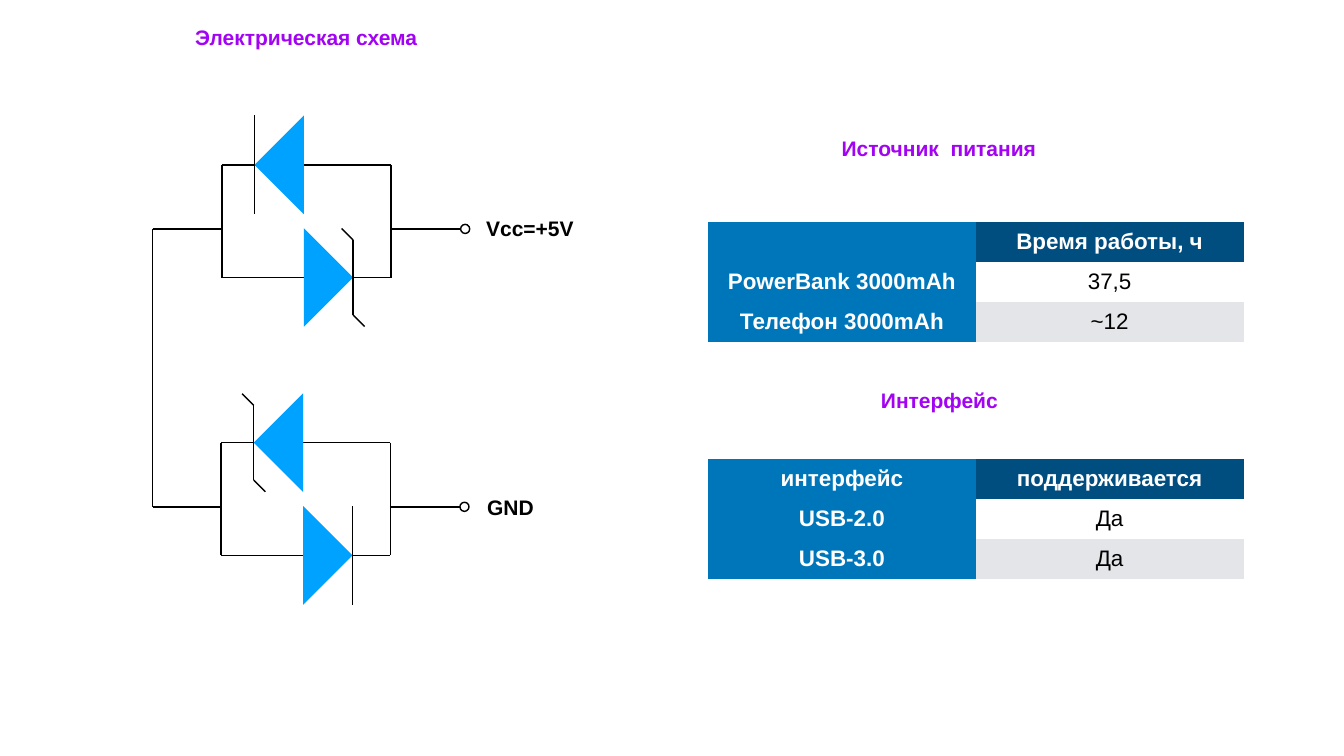
"""Build a slide with a diode circuit diagram and two tables on supply and interface."""
import pptx
import pptx.util
import pptx.dml.color
import pptx.enum.shapes
import pptx.enum.text
import pptx.oxml.ns
import pptx.oxml.xmlchemy

Pt = pptx.util.Pt
RGBColor = pptx.dml.color.RGBColor
PURPLE = RGBColor(0xA2, 0x03, 0xF2)
BLACK = RGBColor(0x00, 0x00, 0x00)
WHITE = RGBColor(0xFF, 0xFF, 0xFF)
DIODE_BLUE = RGBColor(0x00, 0xA2, 0xFF)
HEAD_BLUE = RGBColor(0x00, 0x4D, 0x80)
SIDE_BLUE = RGBColor(0x00, 0x76, 0xBA)
BAND_GREY = RGBColor(0xE3, 0xE5, 0xE8)
NO_GRID_STYLE = "{2D5ABB26-0587-4C30-8999-92F81FD0307C}"
MARGINS = {"margin_left": Pt(4), "margin_right": Pt(4),
           "margin_top": Pt(4), "margin_bottom": Pt(4),
           "vertical_anchor": pptx.enum.text.MSO_ANCHOR.MIDDLE}

deck = pptx.Presentation()
deck.slide_width, deck.slide_height = Pt(1920), Pt(1080)
slide = deck.slides.add_slide(deck.slide_layouts[6])
shapes = slide.shapes


def add_wire(x1, y1, x2, y2):
    wire = shapes.add_connector(pptx.enum.shapes.MSO_CONNECTOR.STRAIGHT,
                                Pt(x1), Pt(y1), Pt(x2), Pt(y2))
    wire.line.color.rgb = BLACK
    wire.line.width = Pt(2)
    wire._element.spPr.append(pptx.oxml.xmlchemy.OxmlElement("a:effectLst"))


def write_centred(frame, text, size, color, bold):
    paragraph = frame.paragraphs[0]
    paragraph.alignment = pptx.enum.text.PP_ALIGN.CENTER
    run = paragraph.add_run()
    run.text = text
    run.font.color.rgb = color
    for key, value in {"name": "Arial", "size": Pt(size), "bold": bold}.items():
        setattr(run.font, key, value)


DIODE_HALF, ZENER_HALF, HOOK = 70.5, 53.5, 16.5
for middle, offset, zener_is_upper in ((435, 0, False), (434, 397, True)):
    left, right = middle - 118, middle + 123.5
    upper, lower, tap = 235.5 + offset, 396.5 + offset, 327 + offset
    for y, direction, is_zener in ((upper, -1, zener_is_upper),
                                   (lower, 1, not zener_is_upper)):
        add_wire(left, y, right, y)
        base, tip = middle - 1, middle - 1 + direction * DIODE_HALF
        outline = shapes.build_freeform(Pt(base), Pt(y - DIODE_HALF), scale=1.0)
        outline.add_line_segments([(Pt(tip), Pt(y)), (Pt(base), Pt(y + DIODE_HALF))])
        diode = outline.convert_to_shape()
        diode.shadow.inherit = False
        diode.fill.solid()
        diode.fill.fore_color.rgb = DIODE_BLUE
        diode.line.fill.background()
        bar_half = ZENER_HALF if is_zener else DIODE_HALF
        add_wire(tip, y - bar_half, tip, y + bar_half)
        if is_zener:
            for side in (-1, 1):
                bar_end = y + side * bar_half
                add_wire(tip, bar_end, tip + side * HOOK, bar_end + side * HOOK)
    for x in (left, right):
        add_wire(x, upper, x, lower)
    add_wire(218, tap, left, tap)
    add_wire(right, tap, right + 100, tap)
    terminal = shapes.add_shape(pptx.enum.shapes.MSO_SHAPE.OVAL,
                                Pt(right + 99.5), Pt(tap - 6.5), Pt(13), Pt(13))
    terminal.shadow.inherit = False
    terminal.fill.solid()
    terminal.fill.fore_color.rgb = WHITE
    terminal.line.color.rgb = BLACK
    terminal.line.width = Pt(2)
add_wire(218, 327, 218, 724)

for text, x, y, width, color in (
        ("Электрическая схема", 269, 31, 337, PURPLE),
        ("Vcc=+5V", 690, 304.5, 134, BLACK),
        ("GND", 691, 702, 76.5, BLACK),
        ("Источник  питания", 1196.5, 190, 289.5, PURPLE),
        ("Интерфейс", 1253, 549.5, 178, PURPLE)):
    frame = shapes.add_textbox(Pt(x), Pt(y), Pt(width), Pt(44)).text_frame
    for key, value in {**MARGINS, "word_wrap": False}.items():
        setattr(frame, key, value)
    write_centred(frame, text, 30, color, True)

ROW_FILLS = ((SIDE_BLUE, HEAD_BLUE), (SIDE_BLUE, WHITE), (SIDE_BLUE, BAND_GREY))
for top, rows in (
        (317, (("", "Время работы, ч"),
               ("PowerBank 3000mAh", "37,5"),
               ("Телефон 3000mAh", "~12"))),
        (656, (("интерфейс", "поддерживается"),
               ("USB-2.0", "Да"),
               ("USB-3.0", "Да")))):
    table = shapes.add_table(3, 2, Pt(1011.5), Pt(top), Pt(765), Pt(171)).table
    table.first_col = True
    table._tbl.tblPr.find(pptx.oxml.ns.qn("a:tableStyleId")).text = NO_GRID_STYLE
    for r, (row, fills) in enumerate(zip(rows, ROW_FILLS)):
        for c, (text, fill) in enumerate(zip(row, fills)):
            cell = table.cell(r, c)
            cell.fill.solid()
            cell.fill.fore_color.rgb = fill
            for key, value in MARGINS.items():
                setattr(cell, key, value)
            is_heading = r == 0 or c == 0
            if text:
                write_centred(cell.text_frame, text, 32,
                              WHITE if is_heading else BLACK, is_heading)

deck.save("out.pptx")
